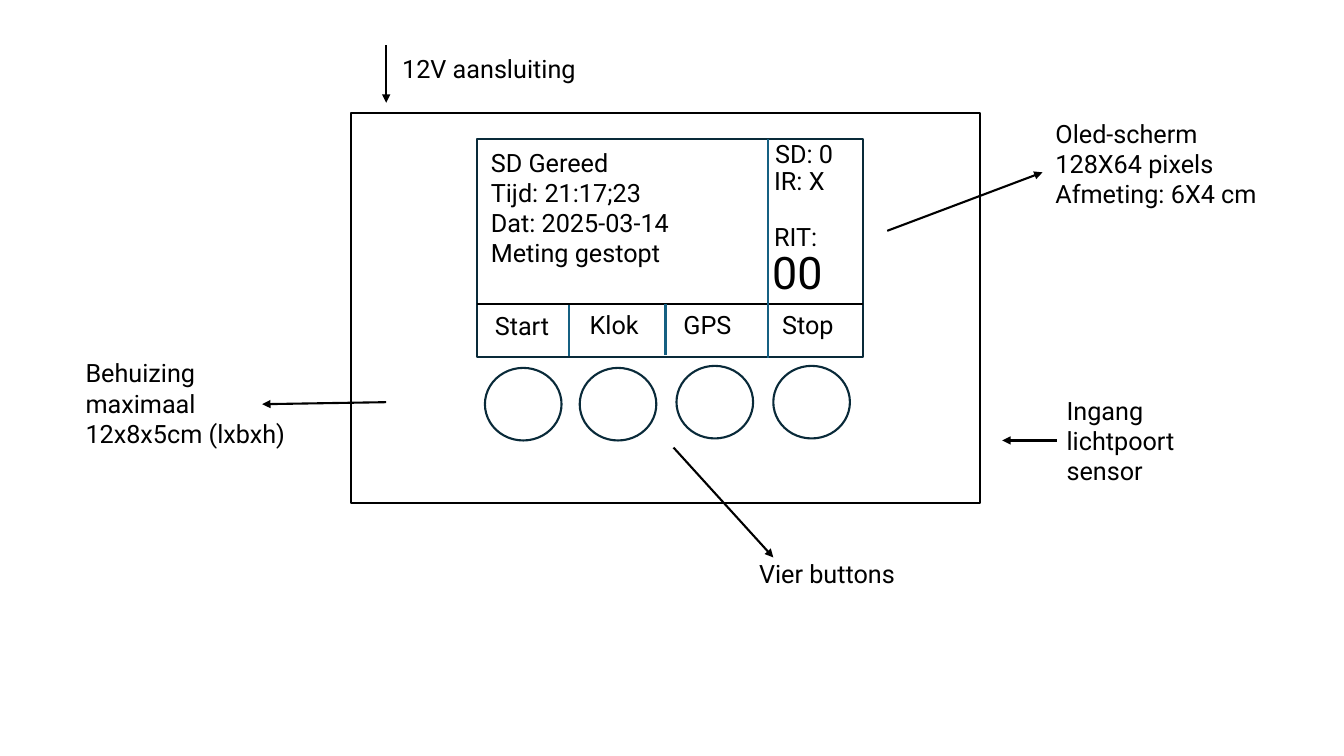
import pptx
import pptx.util
import pptx.dml.color
import pptx.enum.shapes
import pptx.oxml.ns
import lxml.etree
from dataclasses import dataclass


@dataclass(frozen=True)
class Theme:
    font: str = "Roboto"
    white: str = "FFFFFF"
    ink: str = "000000"
    outline: str = "092A39"
    divider: str = "156082"
    body: int = 18
    counter: int = 32
    line: float = 1.5


THEME = Theme()
Inches = pptx.util.Inches
SHAPE = pptx.enum.shapes.MSO_SHAPE

# Boxes are (left, top, width, height); lines are (x1, y1, x2, y2).
HOUSING = (3.48, 1.12, 6.24, 3.87)
SCREEN = (4.73, 1.38, 3.83, 2.16)
BUTTON_SIZE = (0.76, 0.72)
LABEL_SIZE = (0.94, 0.4)
MENU_TOP = 3.02

# Label, label left, label top, button left, button top
BUTTONS = [
    ("Start", 4.81, 3.03, 4.81, 3.65),
    ("Klok", 5.75, 3.02, 5.75, 3.65),
    ("GPS", 6.68, 3.02, 6.71, 3.63),
    ("Stop", 7.66, 3.02, 7.67, 3.63),
]
DIVIDERS = [
    (5.64, 3.03, 5.64, 3.53),
    (6.6, MENU_TOP, 6.6, 3.52),
    (7.62, 1.38, 7.62, 3.55),
]
STATUS = ["SD Gereed", "Tijd: 21:17;23", "Dat: 2025-03-14", "Meting gestopt"]
STATUS_BOX = (4.77, 1.41, 2.78, 1.31)
# Text, left, top, height, type size
READINGS = [
    ("SD: 0", 7.59, 1.32, 0.4, THEME.body),
    ("IR: X", 7.58, 1.59, 0.4, THEME.body),
    ("RIT:", 7.58, 2.15, 0.4, THEME.body),
    ("00", 7.56, 2.38, 0.64, THEME.counter),
]
# Text lines, text box, arrow
SENSOR = (["Ingang lichtpoortsensor"], (10.48, 3.87, 1.28, 1.0), (10.48, 4.37, 9.94, 4.37))
CALLOUTS = [
    (["12V aansluiting"], (3.89, 0.48, 2, 0.4), (3.83, 0.45, 3.83, 1.02)),
    (["Oled-scherm 128X64 pixels", "Afmeting: 6X4 cm"],
     (10.37, 1.12, 2.23, 1.01), (8.8, 2.29, 10.34, 1.71)),
    (["Vier buttons"], (7.43, 5.49, 2, 0.4), (6.68, 4.44, 7.67, 5.53)),
    (["Behuizing maximaal 12x8x5cm (lxbxh)"],
     (0.75, 3.5, 2.23, 1.01), (3.83, 3.99, 2.6, 4.01)),
]


def rgb(color):
    return pptx.dml.color.RGBColor.from_string(color)


def add_outline(slide, kind, box, color):
    sp = slide.shapes.add_shape(kind, *map(Inches, box))
    sp.shadow.inherit = False
    sp.fill.solid()
    sp.fill.fore_color.rgb = rgb(THEME.white)
    sp.line.color.rgb = rgb(color)
    sp.line.width = pptx.util.Pt(THEME.line)


def add_text(slide, lines, box, size=THEME.body):
    sp = slide.shapes.add_textbox(*map(Inches, box))
    tf = sp.text_frame
    tf.word_wrap = True
    tf.text = "\n".join(lines)
    for p in tf.paragraphs:
        for r in p.runs:
            r.font.name = THEME.font
            r.font.size = pptx.util.Pt(size)
            r.font.color.rgb = rgb(THEME.ink)
    return sp


def add_line(slide, ends, color=THEME.ink, arrow=False):
    line = slide.shapes.add_connector(
        pptx.enum.shapes.MSO_CONNECTOR.STRAIGHT, *map(Inches, ends))
    line.line.color.rgb = rgb(color)
    line.line.width = pptx.util.Pt(THEME.line)
    qn = pptx.oxml.ns.qn
    if arrow:
        ln = line.line._get_or_add_ln()
        lxml.etree.SubElement(ln, qn("a:tailEnd"), type="triangle")
    lxml.etree.SubElement(line._element.spPr, qn("a:effectLst"))
    return line


def add_callout(slide, lines, box, ends):
    label = add_text(slide, lines, box)
    return label, add_line(slide, ends, arrow=True)


def main():
    prs = pptx.Presentation()
    prs.slide_width, prs.slide_height = Inches(13.33), Inches(7.5)
    s = prs.slides.add_slide(prs.slide_layouts[6])

    add_outline(s, SHAPE.RECTANGLE, HOUSING, THEME.ink)
    add_outline(s, SHAPE.RECTANGLE, SCREEN, THEME.outline)
    for label, label_x, label_y, x, y in BUTTONS:
        add_outline(s, SHAPE.OVAL, (x, y, *BUTTON_SIZE), THEME.outline)
        add_text(s, [label], (label_x, label_y, *LABEL_SIZE))

    left, _, width, _ = SCREEN
    add_line(s, (left, MENU_TOP, left + width, MENU_TOP))
    for ends in DIVIDERS:
        add_line(s, ends, THEME.divider)
    for text, x, y, height, size in READINGS:
        add_text(s, [text], (x, y, LABEL_SIZE[0], height), size)
    add_text(s, STATUS, STATUS_BOX)

    for callout in CALLOUTS:
        add_callout(s, *callout)
    label, arrow = add_callout(s, *SENSOR)
    arrow.begin_connect(label, 1)

    prs.save("out.pptx")


if __name__ == "__main__":
    main()
